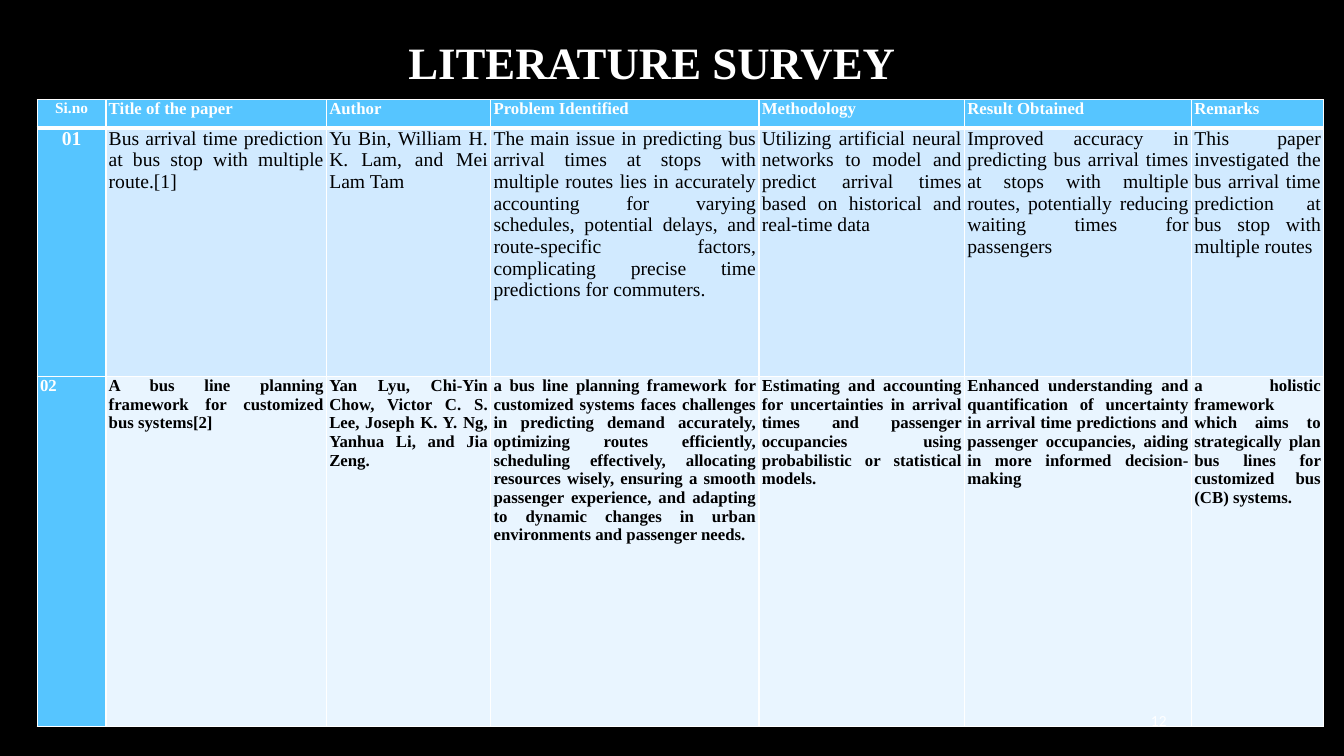
"""Build the literature survey slide with its table of papers."""
from lxml import etree
from pptx import Presentation
from pptx import util as u
from pptx.dml.color import RGBColor
from pptx.enum import text
from pptx.oxml import ns

INK = {"back": "000000", "white": "FFFFFF", "dark": "000000",
       "head": "56C5FF", "odd": "D1EAFF", "even": "E9F5FF"}
SIDE = {"l": text.PP_ALIGN.LEFT, "c": text.PP_ALIGN.CENTER,
        "r": text.PP_ALIGN.RIGHT, "j": text.PP_ALIGN.JUSTIFY}
COLS = [1.73, 5.56, 4.14, 6.76, 5.18, 5.72, 3.33]
ROWS = [0.71, 6.27, 8.81]
PAPERS = [
    ["Si.no", "Title of the paper", "Author", "Problem Identified",
     "Methodology", "Result Obtained", "Remarks"],
    ["01",
     "Bus arrival time prediction at bus stop with multiple route.[1]",
     "Yu Bin, William H. K. Lam, and Mei Lam Tam",
     "The main issue in predicting bus arrival times at stops with multiple "
     "routes lies in accurately accounting for varying schedules, potential "
     "delays, and route-specific factors, complicating precise time "
     "predictions for commuters.",
     "Utilizing artificial neural networks to model and predict arrival "
     "times based on historical and real-time data",
     "Improved accuracy in predicting bus arrival times at stops with "
     "multiple routes, potentially reducing waiting times for passengers",
     "This paper investigated the bus arrival time prediction at bus stop "
     "with multiple routes"],
    ["02",
     "A bus line planning framework for customized bus systems[2]",
     "Yan Lyu, Chi-Yin Chow, Victor C. S. Lee, Joseph K. Y. Ng, Yanhua Li, "
     "and Jia Zeng.",
     "a bus line planning framework for customized systems faces challenges "
     "in predicting demand accurately, optimizing routes efficiently, "
     "scheduling effectively, allocating resources wisely, ensuring a smooth "
     "passenger experience, and adapting to dynamic changes in urban "
     "environments and passenger needs.",
     "Estimating and accounting for uncertainties in arrival times and "
     "passenger occupancies using probabilistic or statistical models.",
     "Enhanced understanding and quantification of uncertainty in arrival "
     "time predictions and passenger occupancies, aiding in more informed "
     "decision-making",
     "a holistic framework which aims to strategically plan bus lines for "
     "customized bus (CB) systems."],
]


def tint(name):
    return RGBColor.from_string(INK[name])


def write(frame, words, size=12, face="Times New Roman", ink="white",
          bold=False, side="j"):
    para = frame.paragraphs[0]
    para.alignment = SIDE[side]
    run = para.add_run()
    run.text = words
    font = run.font
    font.size, font.name, font.bold = u.Pt(size), face, bold
    font.color.rgb = tint(ink)


def edge(cell, **sides):
    props = cell._tc.get_or_add_tcPr()
    for side, width in sides.items():
        line = etree.SubElement(props, ns.qn(f"a:ln{side}"), w=str(u.Pt(width)))
        fill = etree.SubElement(line, ns.qn("a:solidFill"))
        etree.SubElement(fill, ns.qn("a:srgbClr"), val=INK["white"])


class Deck:
    def __init__(self):
        self.prs = Presentation()
        self.prs.slide_width, self.prs.slide_height = u.Cm(33.87), u.Cm(19.05)
        self.slide = self.prs.slides.add_slide(self.prs.slide_layouts[6])
        fill = self.slide.background.fill
        fill.solid()
        fill.fore_color.rgb = tint("back")

    def label(self, words, box, anchor=text.MSO_ANCHOR.TOP, **style):
        frame = self.slide.shapes.add_textbox(*map(u.Cm, box)).text_frame
        frame.word_wrap = True
        frame.vertical_anchor = anchor
        write(frame, words, **style)

    def table(self, left, top, cols, rows, data):
        size = map(u.Cm, (left, top, sum(cols), sum(rows)))
        grid = self.slide.shapes.add_table(len(rows), len(cols), *size).table
        for col, width in zip(grid.columns, cols):
            col.width = u.Cm(width)
        for row, height in zip(grid.rows, rows):
            row.height = u.Cm(height)
        for r, line in enumerate(data):
            for c, words in enumerate(line):
                self.cell(grid.cell(r, c), r, c, words)

    def cell(self, cell, r, c, words):
        cell.margin_left = cell.margin_right = u.Cm(0.07)
        cell.margin_top = cell.margin_bottom = 0
        edge(cell, L=1, R=1, T=3 if r == 1 else 1, B=3 if r == 0 else 1)
        key = r == 0 or c == 0
        cell.fill.solid()
        cell.fill.fore_color.rgb = tint("head" if key else ("even", "odd")[r % 2])
        size = 14 if r == 1 else 11 if r == c == 0 else 12
        write(cell.text_frame, words, size=size, bold=key or r == 2,
              ink="white" if key else "dark",
              side="c" if c == 0 and r < 2 else "j")


def main():
    deck = Deck()
    deck.label("LITERATURE SURVEY", (9.93, 0.74, 13, 1.63),
               size=32, bold=True, side="c")
    deck.table(0.94, 2.51, COLS, ROWS, PAPERS)
    deck.label("12", (27.31, 17.78, 2.34, 0.76), text.MSO_ANCHOR.MIDDLE,
               size=11, face="Calibri", side="r")
    deck.prs.save("out.pptx")


if __name__ == "__main__":
    main()
